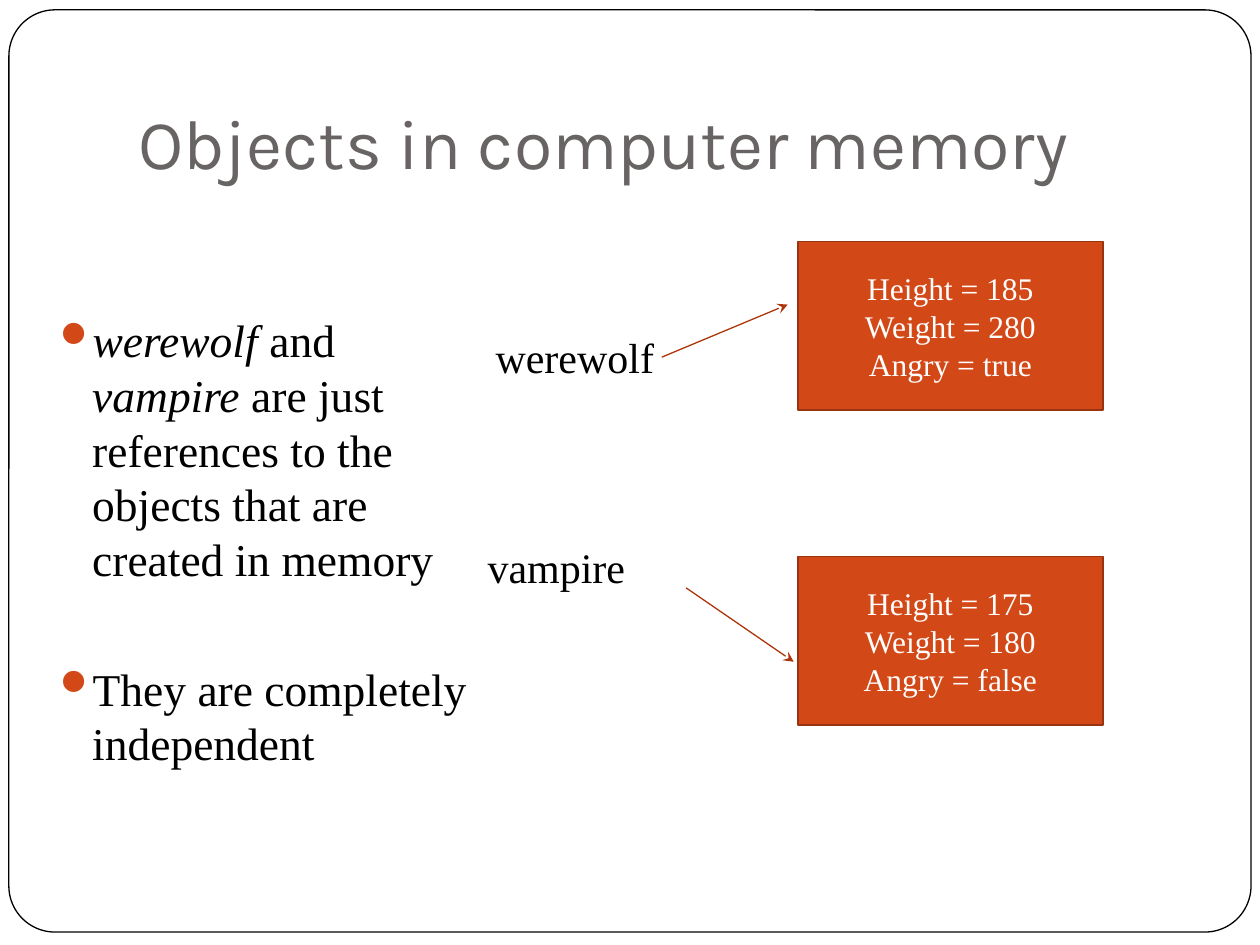
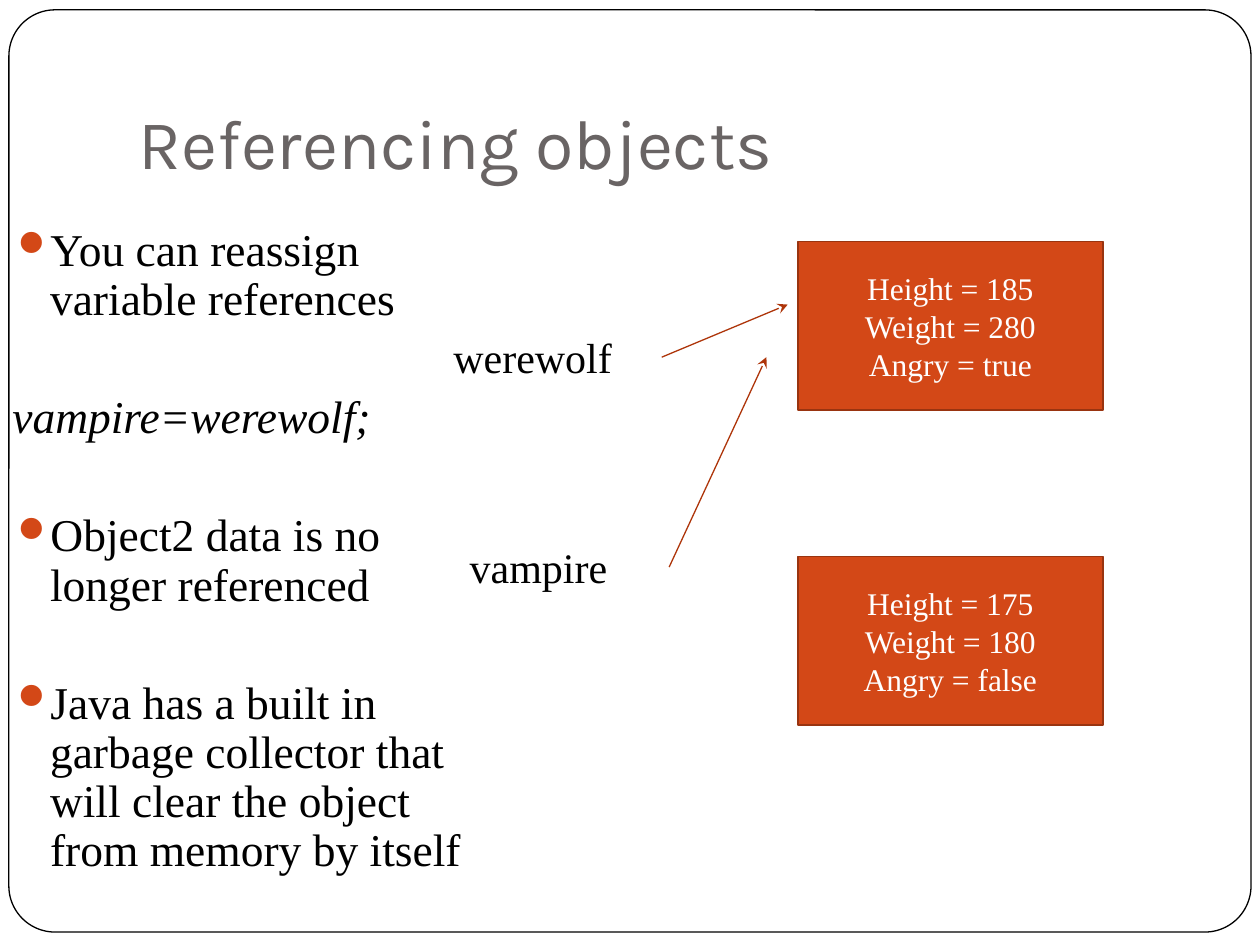
from dataclasses import dataclass

from lxml.etree import SubElement
from pptx import Presentation
from pptx.dml.color import RGBColor
from pptx.enum.shapes import MSO_CONNECTOR, MSO_SHAPE
from pptx.enum.text import MSO_ANCHOR, PP_ALIGN
from pptx.oxml.ns import qn
from pptx.util import Cm, Pt


@dataclass(frozen=True)
class Theme:
    title_font: str = "Karla"
    body_font: str = "Times New Roman"
    title_size: int = 40
    body_size: int = 26
    label_size: int = 24
    object_size: int = 18
    paper: str = "FFFFFF"
    ink: str = "000000"
    title: str = "696464"
    accent: str = "D34817"
    accent_edge: str = "993410"
    arrow: str = "AE350A"


theme = Theme()


def style(paragraph, size, color, face=theme.body_font):
    paragraph.font.name = face
    paragraph.font.size = Pt(size)
    paragraph.font.color.rgb = RGBColor.from_string(color)


def add_text(slide, left, top, width, height):
    """Add an empty wrapping text box, measured in cm, and return its frame."""
    frame = slide.shapes.add_textbox(Cm(left), Cm(top), Cm(width), Cm(height)).text_frame
    frame.word_wrap = True
    return frame


# Each point is (bulleted, [(text, italic), ...]).
# Labels are (text, left, top, width, height); arrows are (x1, y1, x2, y2); all in cm.
slides = [
    dict(
        title="Objects in computer memory",
        body=(0.85, 4.87, 8.89, 12.57), first_line=1.43, gap=43, line_spacing=1.0,
        points=[
            (True, [("werewolf", True), (" and ", False), ("vampire", True),
                    (" are just references to the objects that are created in memory", False)]),
            (True, [("They are completely independent", False)]),
        ],
        labels=[("werewolf", 9.74, 6.56, 4.47, 1.75), ("vampire", 9.58, 10.8, 4.27, 2.11)],
        arrows=[(13.34, 7.2, 15.88, 6.14), (13.83, 11.85, 16.0, 13.34)],
    ),
    dict(
        title="Referencing objects",
        body=(0, 4.45, 9.74, 13.97), first_line=0.13, gap=39.5, line_spacing=0.9,
        points=[
            (True, [("You can reassign variable references", False)]),
            (False, [("vampire=werewolf;", True)]),
            (True, [("Object2 data is no longer referenced", False)]),
            (True, [("Java has a built in garbage collector that will clear "
                     "the object from memory by itself", False)]),
        ],
        labels=[("werewolf", 8.89, 6.56, 4.6, 1.7), ("vampire", 9.22, 10.8, 4.27, 1.27)],
        arrows=[(13.34, 7.2, 15.88, 6.14), (13.49, 11.43, 15.45, 7.2)],
    ),
]

memory_objects = [
    ["Height = 185", "Weight = 280", "Angry = true"],
    ["Height = 175", "Weight = 180", "Angry = false"],
]
object_top, object_pitch = 4.87, 6.35

deck = Presentation()
deck.slide_width, deck.slide_height = Cm(25.4), Cm(19.05)

for content in slides:
    slide = deck.slides.add_slide(deck.slide_layouts[6])

    border = slide.shapes.add_shape(
        MSO_SHAPE.ROUNDED_RECTANGLE, Cm(0.18), Cm(0.2), Cm(25.04), Cm(18.59))
    border.adjustments[0] = 0.05
    border.shadow.inherit = False
    border.fill.solid()
    border.fill.fore_color.rgb = RGBColor.from_string(theme.paper)
    border.line.color.rgb = RGBColor.from_string(theme.ink)
    border.line.width = Pt(0.75)

    title = add_text(slide, 2.54, 0.76, 21.59, 3.18)
    title.vertical_anchor = MSO_ANCHOR.BOTTOM
    title.margin_bottom = Cm(0.25)
    title.text = content["title"]
    style(title.paragraphs[0], theme.title_size, theme.title, theme.title_font)

    body = add_text(slide, *content["body"])
    body.margin_top = Cm(content["first_line"])
    for index, (bulleted, runs) in enumerate(content["points"]):
        point = body.add_paragraph() if index else body.paragraphs[0]
        point.line_spacing = content["line_spacing"]
        if index:
            point.space_before = Pt(content["gap"])
        properties = point._p.get_or_add_pPr()
        properties.set("marL", str(Cm(0.76)))
        properties.set("indent", str(-Cm(0.76)))
        if bulleted:
            bullet_color = SubElement(properties, qn("a:buClr"))
            SubElement(bullet_color, qn("a:srgbClr"), val=theme.accent)
            SubElement(properties, qn("a:buChar"), char="⚫")
        style(point, theme.body_size, theme.ink)
        for text, italic in runs:
            run = point.add_run()
            run.text = text
            run.font.italic = italic

    for row, fields in enumerate(memory_objects):
        memory_object = slide.shapes.add_shape(
            MSO_SHAPE.RECTANGLE, Cm(16.09), Cm(object_top + row * object_pitch),
            Cm(6.14), Cm(3.39))
        memory_object.shadow.inherit = False
        memory_object.fill.solid()
        memory_object.fill.fore_color.rgb = RGBColor.from_string(theme.accent)
        memory_object.line.color.rgb = RGBColor.from_string(theme.accent_edge)
        memory_object.line.width = Pt(1)
        memory_object.text_frame.vertical_anchor = MSO_ANCHOR.MIDDLE
        memory_object.text_frame.text = "\n".join(fields)
        for field in memory_object.text_frame.paragraphs:
            field.alignment = PP_ALIGN.CENTER
            style(field, theme.object_size, theme.paper)

    for variable, *place in content["labels"]:
        label = add_text(slide, *place)
        label.text = variable
        style(label.paragraphs[0], theme.label_size, theme.ink)

    for ends in content["arrows"]:
        reference = slide.shapes.add_connector(MSO_CONNECTOR.STRAIGHT, *map(Cm, ends))
        reference.line.color.rgb = RGBColor.from_string(theme.arrow)
        reference.line.width = Pt(0.75)
        SubElement(reference.line._get_or_add_ln(), qn("a:tailEnd"), type="stealth")
        SubElement(reference._element.spPr, qn("a:effectLst"))

deck.save("out.pptx")
